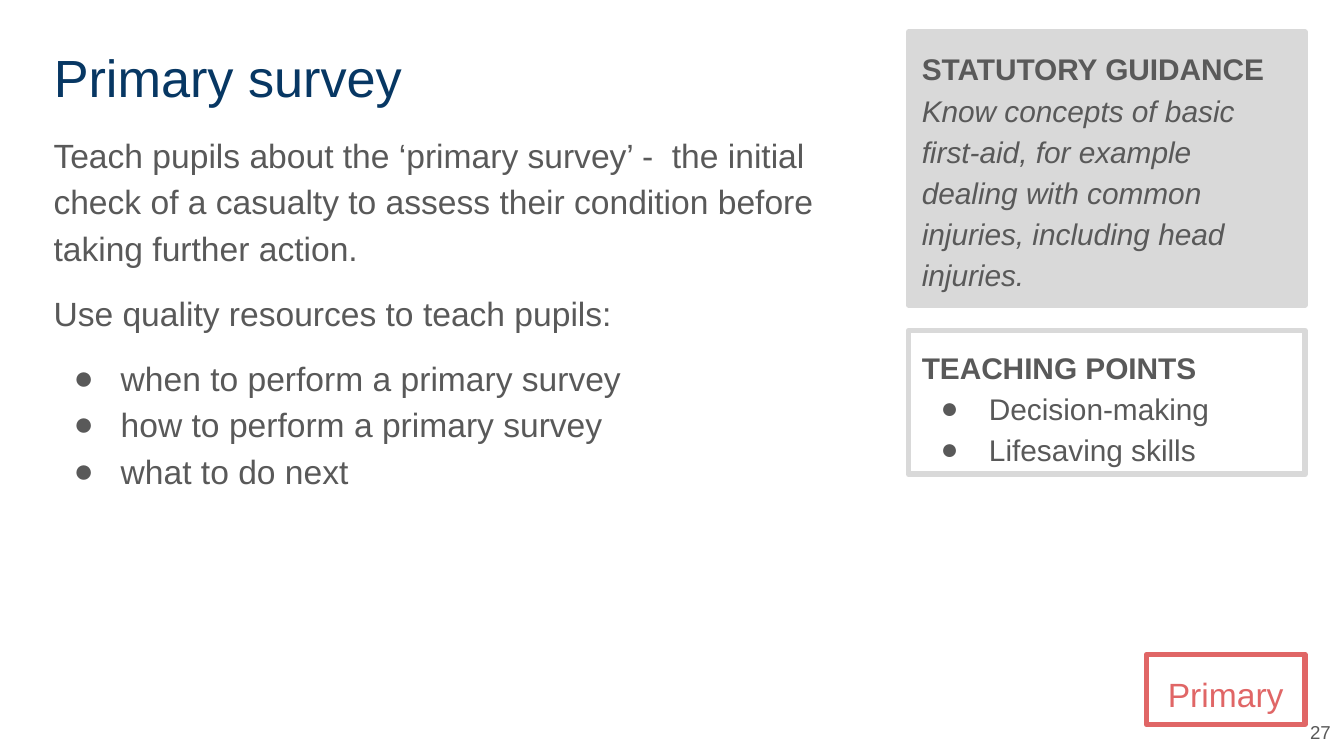
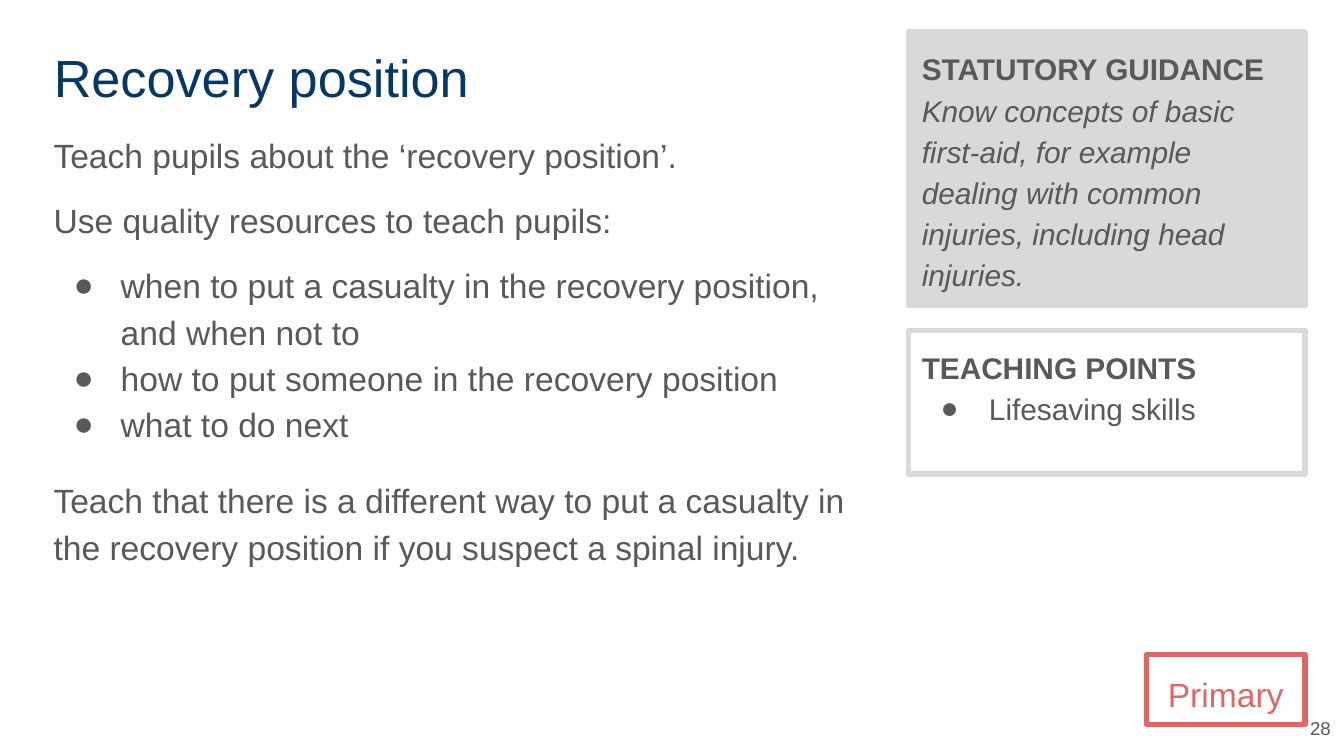
from lxml import etree
from pptx import Presentation
from pptx.dml.color import RGBColor
from pptx.enum.shapes import MSO_SHAPE as SHAPE
from pptx.enum.text import MSO_ANCHOR as ANCHOR, MSO_AUTO_SIZE as FIT, PP_ALIGN as ALIGN
from pptx.oxml.ns import qn
from pptx.util import Inches, Pt

FONT = "Arial"
NAVY, GREY, SILVER, CORAL = "073763", "595959", "D9D9D9", "E06666"
FRAME = {f"margin_{side}": Inches(0.1) for side in ("left", "top", "right", "bottom")}
FRAME.update(word_wrap=True, auto_size=FIT.NONE)

SIDEBAR = (6.76, 0.24, 2.95, 3.29)
GUIDANCE_H, SIDEBAR_GAP = 2.03, 0.19
TAG_BOX = (8.53, 4.87, 1.18, 0.52)

GUIDANCE = ("Know concepts of basic first-aid, for example dealing with "
            "common injuries, including head injuries.")
RESOURCES = "Use quality resources to teach pupils:"

SLIDES = [
    {
        "number": "27",
        "number_box": (9.61, 5.26, 0.39, 0.37),
        "title": "Primary survey",
        "title_box": (0.3, 0.24, 6.41, 0.63),
        "body_box": (0.3, 0.86, 6.41, 4.01),
        "intro": "Teach pupils about the ‘primary survey’ -  the initial check of a "
                 "casualty to assess their condition before taking further action.",
        "bullets": ["when to perform a primary survey",
                    "how to perform a primary survey",
                    "what to do next"],
        "points": ["Decision-making", "Lifesaving skills"],
    },
    {
        "number": "28",
        "number_box": (9.61, 5.23, 0.39, 0.37),
        "title": "Recovery position",
        "title_box": (0.3, 0.24, 6.67, 0.63),
        "body_box": (0.3, 0.86, 6.32, 4.01),
        "intro": "Teach pupils about the ‘recovery position’.",
        "bullets": ["when to put a casualty in the recovery position, and when not to",
                    "how to put someone in the recovery position",
                    "what to do next"],
        "closing": "Teach that there is a different way to put a casualty in the "
                   "recovery position if you suspect a spinal injury.",
        "points": ["Lifesaving skills"],
    },
]


def rgb(value):
    return RGBColor.from_string(value)


def apply(target, values):
    for name, value in values.items():
        setattr(target, name, value)


def place(sp, box):
    apply(sp, dict(zip(("left", "top", "width", "height"), map(Inches, box))))


def frame(sp, anchor=ANCHOR.TOP):
    tf = sp.text_frame
    apply(tf, {**FRAME, "vertical_anchor": anchor})
    return tf


def add_run(p, text, size, color=GREY, **style):
    r = p.add_run()
    r.text = text
    apply(r.font, {"name": FONT, "size": Pt(size), **style})
    r.font.color.rgb = rgb(color)


def add_para(tf, **values):
    p = tf.add_paragraph() if tf.paragraphs[0].runs else tf.paragraphs[0]
    apply(p, {"alignment": ALIGN.LEFT, "line_spacing": 1.15,
              "space_before": Pt(0), "space_after": Pt(0), **values})
    return p


def add_bullets(tf, items, size, hang, first_gap=0):
    for i, item in enumerate(items):
        p = add_para(tf, space_before=Pt(0 if i else first_gap))
        add_run(p, item, size)
        pPr = p._p.get_or_add_pPr()
        pPr.set("marL", str(Inches(0.5)))
        pPr.set("indent", str(-Inches(hang)))
        color = etree.SubElement(pPr, qn("a:buClr"))
        etree.SubElement(color, qn("a:srgbClr")).set("val", GREY)
        etree.SubElement(pPr, qn("a:buFont")).set("typeface", FONT)
        etree.SubElement(pPr, qn("a:buChar")).set("char", "●")


def add_box(slide, box, line, fill=None):
    sp = slide.shapes.add_shape(SHAPE.RECTANGLE, *map(Inches, box))
    sp.shadow.inherit = False
    if fill:
        sp.fill.solid()
        sp.fill.fore_color.rgb = rgb(fill)
    else:
        sp.fill.background()
    sp.line.color.rgb = rgb(line)
    sp.line.width = Pt(3)
    return frame(sp)


def add_text(slide, box, anchor=ANCHOR.TOP):
    return frame(slide.shapes.add_textbox(*map(Inches, box)), anchor)


def add_title(slide, box, text):
    sp = slide.shapes.title
    place(sp, box)
    add_run(add_para(frame(sp), line_spacing=1.0), text, 28, NAVY)


def add_body(slide, box, content):
    tf = add_text(slide, box)
    add_run(add_para(tf), content["intro"], 18)
    add_run(add_para(tf, space_before=Pt(10)), RESOURCES, 18)
    add_bullets(tf, content["bullets"], 18, 0.35, first_gap=10)
    if "closing" in content:
        p = add_para(tf, space_before=Pt(16), space_after=Pt(16))
        add_run(p, content["closing"], 18)


def add_sidebar(slide, box, points):
    x, y, w, h = box
    tf = add_box(slide, (x, y, w, GUIDANCE_H), SILVER, SILVER)
    p = add_para(tf)
    add_run(p, "STATUTORY GUIDANCE", 16, bold=True)
    p.add_line_break()
    add_run(p, GUIDANCE, 16, italic=True)

    offset = GUIDANCE_H + SIDEBAR_GAP
    tf = add_box(slide, (x, y + offset, w, h - offset), SILVER)
    add_run(add_para(tf), "TEACHING POINTS", 16, bold=True)
    add_bullets(tf, points, 16, 0.36)


def add_footer(slide, tag_box, number_box, number):
    tf = add_box(slide, tag_box, CORAL)
    add_run(add_para(tf, alignment=ALIGN.CENTER), "Primary", 18, CORAL)
    tf = add_text(slide, number_box, ANCHOR.MIDDLE)
    add_run(add_para(tf, alignment=ALIGN.RIGHT, line_spacing=1.0), number, 10)


def add_lesson(prs, content):
    slide = prs.slides.add_slide(prs.slide_layouts[5])
    add_title(slide, content["title_box"], content["title"])
    add_body(slide, content["body_box"], content)
    add_sidebar(slide, SIDEBAR, content["points"])
    add_footer(slide, TAG_BOX, content["number_box"], content["number"])


def main():
    prs = Presentation()
    prs.slide_width = Inches(10)
    prs.slide_height = prs.slide_width * 9 // 16
    for content in SLIDES:
        add_lesson(prs, content)
    prs.save("out.pptx")


if __name__ == "__main__":
    main()
